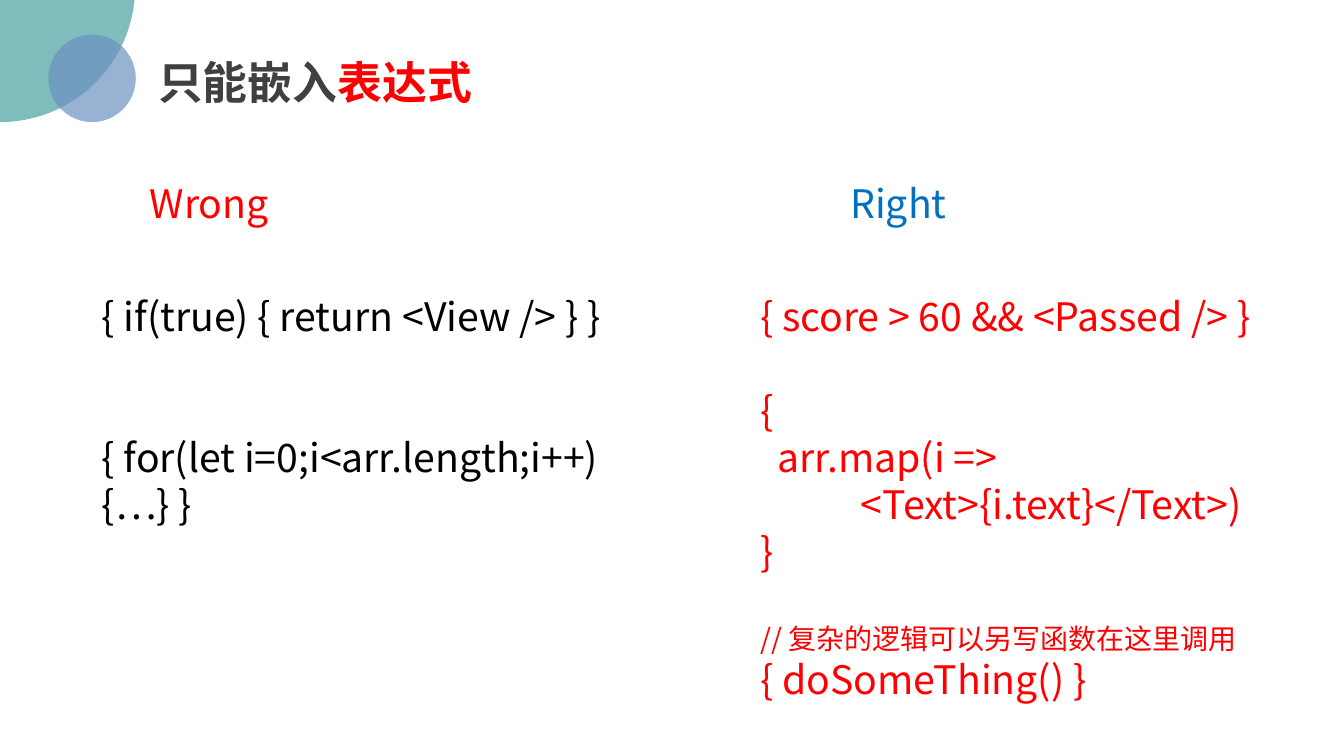
from pptx import Presentation
from pptx.dml.color import RGBColor
from pptx.enum.shapes import MSO_SHAPE
from pptx.enum.text import MSO_ANCHOR, MSO_AUTO_SIZE, PP_ALIGN
from pptx.oxml.ns import qn
from pptx.util import Pt
from lxml import etree

OVAL = MSO_SHAPE.OVAL
TOP = MSO_ANCHOR.TOP
NO_AUTOFIT = MSO_AUTO_SIZE.NONE
LEFT = PP_ALIGN.LEFT

FONT = "Noto Sans CJK SC"
COLORS = {
    "teal": "48A2A0",
    "blue": "6C92C0",
    "dark": "404040",
    "red": "FF0000",
    "black": "000000",
    "right": "0070C0",
}
CODE_SIZE = 28
LINE = 1.2  # line pitch as a multiple of the text size
GAP = CODE_SIZE * LINE


def rgb(name):
    return RGBColor.from_string(COLORS[name])


def add_circle(slide, left, top, diameter, color, opacity=70):
    sp = slide.shapes.add_shape(OVAL, Pt(left), Pt(top), Pt(diameter), Pt(diameter))
    sp.shadow.inherit = False
    sp.line.fill.background()
    sp.fill.solid()
    sp.fill.fore_color.rgb = rgb(color)
    clr = sp.fill._xPr.find(qn("a:solidFill"))[0]
    etree.SubElement(clr, qn("a:alpha"), val=str(opacity * 1000))


def place(sp, left, top, width, height, wrap=True):
    """Move a placeholder and return its text frame, without insets."""
    sp.left, sp.top, sp.width, sp.height = Pt(left), Pt(top), Pt(width), Pt(height)
    tf = sp.text_frame
    tf.margin_left = tf.margin_right = tf.margin_top = tf.margin_bottom = 0
    tf.vertical_anchor = TOP
    tf.auto_size = NO_AUTOFIT
    tf.word_wrap = wrap
    return tf


def add_run(p, text, size=CODE_SIZE, color="black", bold=False):
    r = p.add_run()
    r.text = text
    r.font.size = Pt(size)
    r.font.bold = bold
    r.font.name = FONT
    r.font.color.rgb = rgb(color)
    etree.SubElement(r.font._element, qn("a:ea"), typeface=FONT)


def format_paragraph(p, size=CODE_SIZE, before=0, indent=0):
    p.alignment = LEFT
    p.line_spacing = Pt(size * LINE)
    p.space_before = Pt(before)
    p.space_after = Pt(0)
    pPr = p._p.get_or_add_pPr()
    pPr.set("marL", str(Pt(indent)))
    pPr.set("indent", "0")
    etree.SubElement(pPr, qn("a:buNone"))


def fill_code(tf, lines, color):
    """Write one paragraph for each (text, layout) pair."""
    for i, (text, layout) in enumerate(lines):
        p = tf.add_paragraph() if i else tf.paragraphs[0]
        format_paragraph(p, **layout)
        add_run(p, text, size=layout.get("size", CODE_SIZE), color=color)


def main():
    prs = Presentation()
    prs.slide_width, prs.slide_height = Pt(960), Pt(540)
    slide = prs.slides.add_slide(prs.slide_layouts.get_by_name("Comparison"))
    title, wrong_head, wrong_code, right_head, right_code = list(slide.placeholders)[:5]

    add_circle(slide, -96.5, -105.8, 193, "teal")
    add_circle(slide, 34.5, 24.7, 62.5, "blue")

    p = place(title, 113, 39, 240, 39, wrap=False).paragraphs[0]
    format_paragraph(p, size=32)
    add_run(p, "只能嵌入", size=32, color="dark", bold=True)
    add_run(p, "表达式", size=32, color="red", bold=True)

    for head, left, text, color in (
        (wrong_head, 107, "Wrong", "red"),
        (right_head, 607.4, "Right", "right"),
    ):
        fill_code(place(head, left, 128.2, 100, 34), [(text, {})], color)

    fill_code(place(wrong_code, 72.7, 208.8, 402, 300), [
        ("{ if(true) { return <View /> } }", {}),
        ("{ for(let i=0;i<arr.length;i++) {…} }", {"before": 2 * GAP}),
    ], "black")

    fill_code(place(right_code, 542.9, 208.8, 364, 300), [
        ("{ score > 60 && <Passed /> }", {}),
        ("{", {"before": GAP}),
        ("arr.map(i =>", {"indent": 12.5}),
        ("<Text>{i.text}</Text>)", {"indent": 72}),
        ("}", {}),
        ("// 复杂的逻辑可以另写函数在这里调用", {"size": 20, "before": GAP}),
        ("{ doSomeThing() }", {}),
    ], "red")

    prs.save("out.pptx")


if __name__ == "__main__":
    main()
